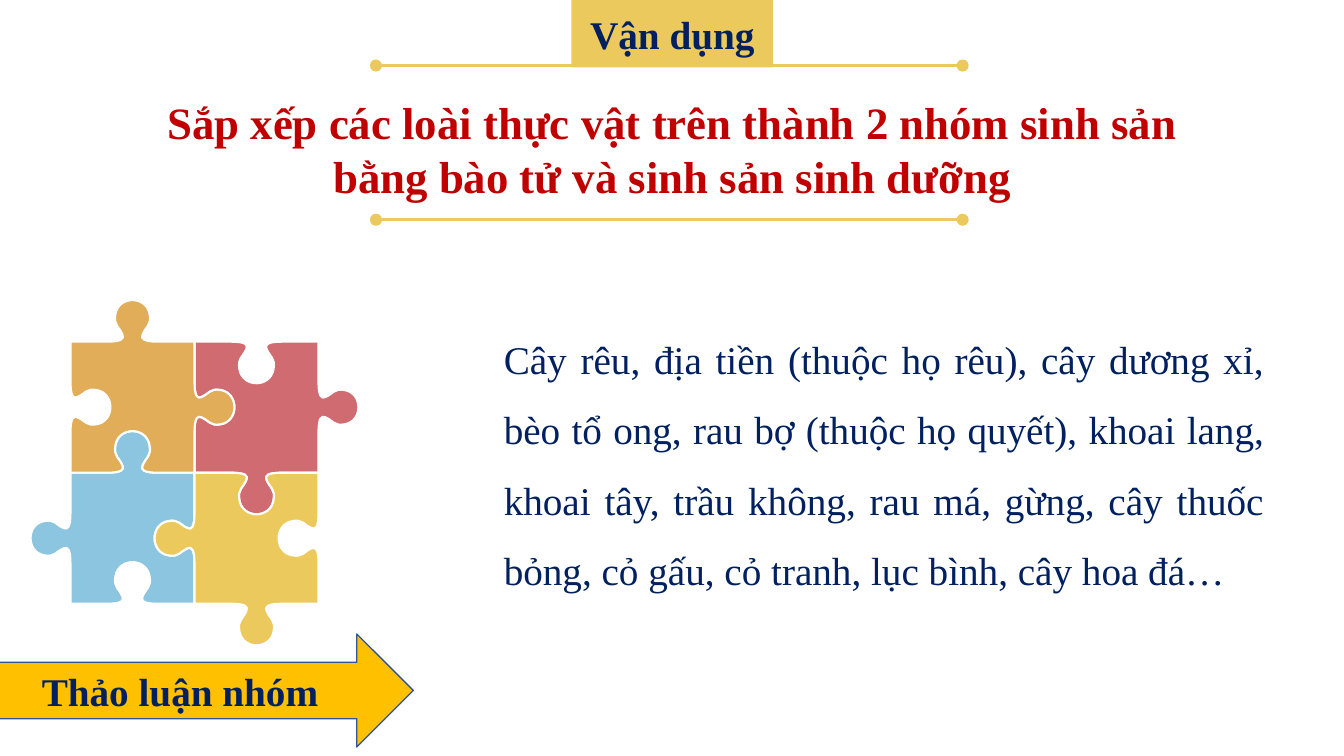
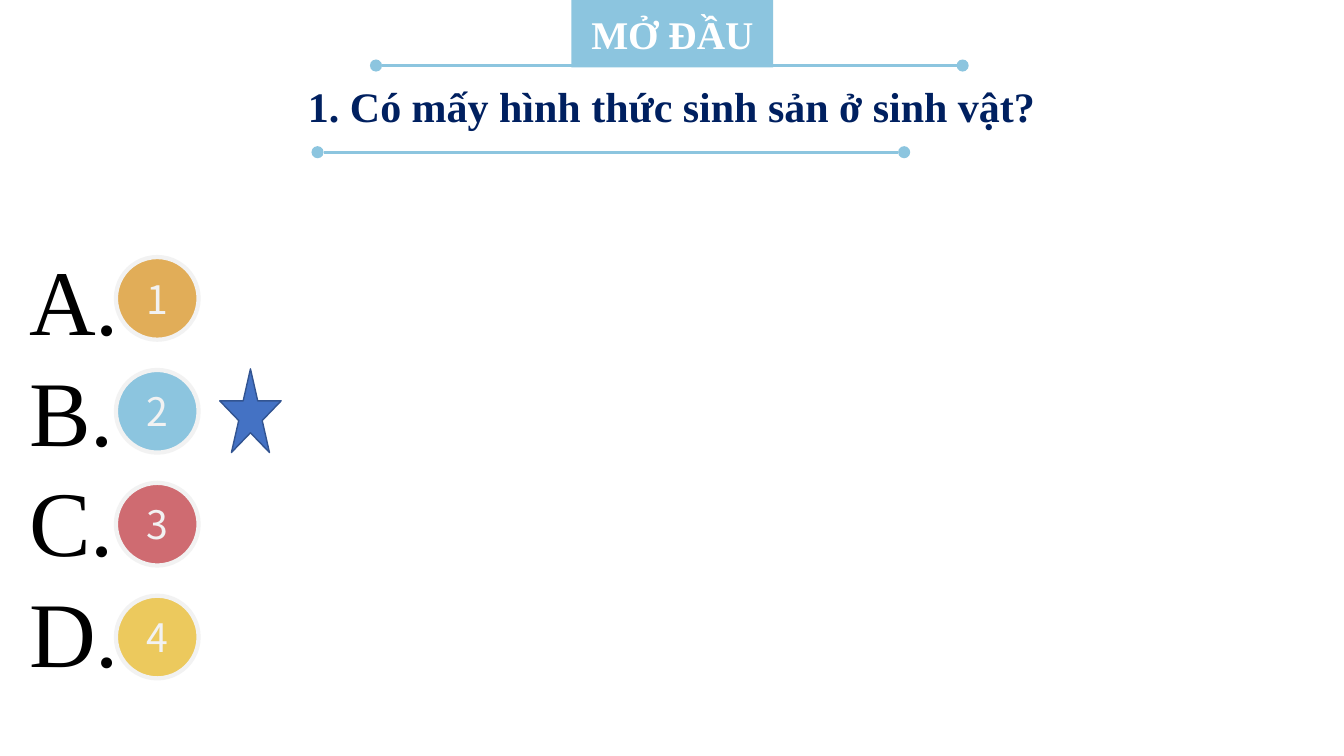
from dataclasses import dataclass

from pptx import Presentation
from pptx.dml.color import RGBColor
from pptx.enum.shapes import MSO_CONNECTOR, MSO_SHAPE
from pptx.enum.text import MSO_ANCHOR, MSO_AUTO_SIZE, PP_ALIGN
from pptx.oxml.ns import qn
from pptx.util import Inches, Pt
from lxml.etree import SubElement


@dataclass(frozen=True)
class Theme:
    gold: str = "ECC95D"
    sky: str = "8CC5DF"
    rose: str = "CF6B71"
    tan: str = "E1AD58"
    navy: str = "002060"
    red: str = "C00000"
    amber: str = "FFC000"
    blue: str = "4472C4"
    edge: str = "325491"
    pale: str = "F2F2F2"
    white: str = "FFFFFF"
    black: str = "000000"
    serif: str = "Times New Roman"
    sans: str = "Noto Sans CJK SC"
    body: int = 28
    head: int = 32
    ask: int = 30
    huge: int = 66


# Puzzle knob as a chain of cubic curves: (distance along edge from its middle, height)
KNOB = [(-0.25, 0), (-0.11, 0), (-0.08, 0.03), (-0.1, 0.07),
        (-0.13, 0.15), (-0.19, 0.16), (-0.17, 0.27), (-0.14, 0.46)]
KNOB += [(-x, y) for x, y in reversed(KNOB)]


def side(start, end, sign):
    """Curve points of one puzzle side, drawn clockwise; sign 1 bulges out, -1 in."""
    (ax, ay), (bx, by) = start, end
    size = abs(bx - ax) + abs(by - ay)
    ux, uy = (bx - ax) / size, (by - ay) / size
    mx, my = (ax + bx) / 2, (ay + by) / 2
    rise = sign * (0.96 if uy else 1)
    knob = [(mx + ux * x + uy * y * rise, my + uy * x - ux * y * rise)
            for x, y in KNOB]
    return [start, knob[0], *knob, knob[-1], end, end]


def bend(shape):
    """Turn each three straight segments of a freeform into one cubic curve."""
    for outline in shape._element.iter(qn("a:path")):
        lines = outline.findall(qn("a:lnTo"))
        for i in range(0, len(lines), 3):
            cubic = SubElement(outline, qn("a:cubicBezTo"))
            lines[i].addprevious(cubic)
            for line in lines[i:i + 3]:
                cubic.append(line[0])
                outline.remove(line)


def write(frame, text, *, size, color, font, bold=False, align=PP_ALIGN.CENTER,
          anchor=MSO_ANCHOR.TOP, wrap=True, space=None):
    frame.text = text
    frame.auto_size = MSO_AUTO_SIZE.NONE
    frame.word_wrap = wrap
    frame.vertical_anchor = anchor
    for para in frame.paragraphs:
        para.alignment = align
        if space:
            para.line_spacing = space
        for run in para.runs:
            run.font.size = Pt(size)
            run.font.name = font
            run.font.bold = bold
            run.font.color.rgb = RGBColor.from_string(color)


class Deck:
    def __init__(self, theme):
        self.theme = theme
        self.prs = Presentation()
        self.prs.slide_width = Inches(40 / 3)
        self.prs.slide_height = Inches(7.5)
        self.slide = None

    def page(self, tab, ink, fill, rule):
        """Start a slide with its top tab and two dotted rules."""
        self.slide = self.prs.slides.add_slide(self.prs.slide_layouts[5])
        self.rule(*rule, fill)
        box = self.shape(MSO_SHAPE.RECTANGLE, (5.67, 0, 2, 0.67), fill)
        self.label(box, tab, ink)
        self.rule(3.67, 0.65, fill)

    def title(self, text, at, size, color):
        box = self.slide.shapes.title
        box.left, box.top, box.width, box.height = map(Inches, at)
        write(box.text_frame, text, size=size, color=color,
              font=self.theme.serif, bold=True, wrap=False)

    def text(self, text, at, **style):
        box = self.slide.shapes.add_textbox(*map(Inches, at))
        write(box.text_frame, text, font=self.theme.serif, **style)

    def label(self, shape, text, color, font=None, bold=True):
        write(shape.text_frame, text, size=self.theme.body, color=color,
              font=font or self.theme.serif, bold=bold, anchor=MSO_ANCHOR.MIDDLE)

    def paint(self, shape, fill, line=None, width=1):
        shape.shadow.inherit = False
        shape.fill.solid()
        shape.fill.fore_color.rgb = RGBColor.from_string(fill)
        if line:
            shape.line.color.rgb = RGBColor.from_string(line)
            shape.line.width = Pt(width)
        else:
            shape.line.fill.background()
        return shape

    def shape(self, kind, at, fill, line=None, width=1):
        shape = self.slide.shapes.add_shape(kind, *map(Inches, at))
        return self.paint(shape, fill, line, width)

    def rule(self, left, y, color, dot=0.12, span=5.7):
        """Draw a horizontal line with a dot at each end."""
        start = left + dot
        line = self.slide.shapes.add_connector(
            MSO_CONNECTOR.STRAIGHT, *map(Inches, (start + span, y, start, y)))
        line.line.color.rgb = RGBColor.from_string(color)
        line.line.width = Pt(2)
        SubElement(line._element.spPr, qn("a:effectLst"))
        for x in (left, start + span):
            self.shape(MSO_SHAPE.OVAL, (x, y - dot / 2, dot, dot), color)

    def piece(self, x, y, wide, high, signs, fill):
        """Draw a puzzle piece; signs run top, right, bottom, left."""
        ends = [(x, y), (x + wide, y), (x + wide, y + high), (x, y + high)]
        pts = []
        for i, sign in enumerate(signs):
            pts += side(ends[i], ends[(i + 1) % 4], sign)
        form = self.slide.shapes.build_freeform(Inches(x), Inches(y))
        form.add_line_segments([(Inches(px), Inches(py)) for px, py in pts],
                               close=True)
        shape = form.convert_to_shape()
        bend(shape)
        self.paint(shape, fill, self.theme.white, 1.5)


def sort(deck):
    look = deck.theme
    deck.page("Vận dụng", look.navy, look.gold, (3.67, 2.18))
    deck.title("Sắp xếp các loài thực vật trên thành 2 nhóm sinh sản\n"
               "bằng bào tử và sinh sản sinh dưỡng",
               (1.52, 0.89, 10.3, 1.92), look.head, look.red)
    wide, high = 1.23, 1.3
    for col, row, signs, fill in (
            (0, 1, (1, -1, -1, 1), look.sky),
            (1, 0, (-1, 1, 1, -1), look.rose),
            (0, 0, (1, 1, -1, -1), look.tan),
            (1, 1, (-1, -1, 1, 1), look.gold)):
        deck.piece(0.7 + col * wide, 3.39 + row * high, wide, high, signs, fill)
    deck.text("Cây rêu, địa tiền (thuộc họ rêu), cây dương xỉ, bèo tổ ong, "
              "rau bợ (thuộc họ quyết), khoai lang, khoai tây, trầu không, "
              "rau má, gừng, cây thuốc bỏng, cỏ gấu, cỏ tranh, lục bình, "
              "cây hoa đá…", (4.9, 3.04, 7.74, 2.84), size=look.body,
              color=look.navy, align=PP_ALIGN.JUSTIFY, space=1.5)
    arrow = deck.shape(MSO_SHAPE.RIGHT_ARROW, (-0.25, 6.29, 4.35, 1.12),
                       look.amber, look.edge)
    deck.label(arrow, "Thảo luận nhóm", look.navy)


def quiz(deck):
    look = deck.theme
    deck.page("MỞ ĐẦU", look.white, look.sky, (3.09, 1.51))
    deck.title("1. Có mấy hình thức sinh sản ở sinh vật?",
               (2.92, 0.75, 7.49, 0.61), look.ask, look.navy)
    for i, fill in enumerate((look.tan, look.sky, look.rose, look.gold)):
        ball = deck.shape(MSO_SHAPE.OVAL, (1.15, 2.55 + 1.12 * i, 0.82, 0.82),
                          fill, look.pale, 3)
        deck.label(ball, str(i + 1), look.pale, look.sans, False)
    deck.text("A.\nB.\nC.\nD.", (0.19, 2.36, 3.77, 4.54), size=look.huge,
              color=look.black, align=PP_ALIGN.LEFT)
    deck.shape(MSO_SHAPE.STAR_5_POINT, (2.18, 3.66, 0.61, 0.83),
               look.blue, look.edge)


def main():
    deck = Deck(Theme())
    sort(deck)
    quiz(deck)
    deck.prs.save("out.pptx")


if __name__ == "__main__":
    main()
